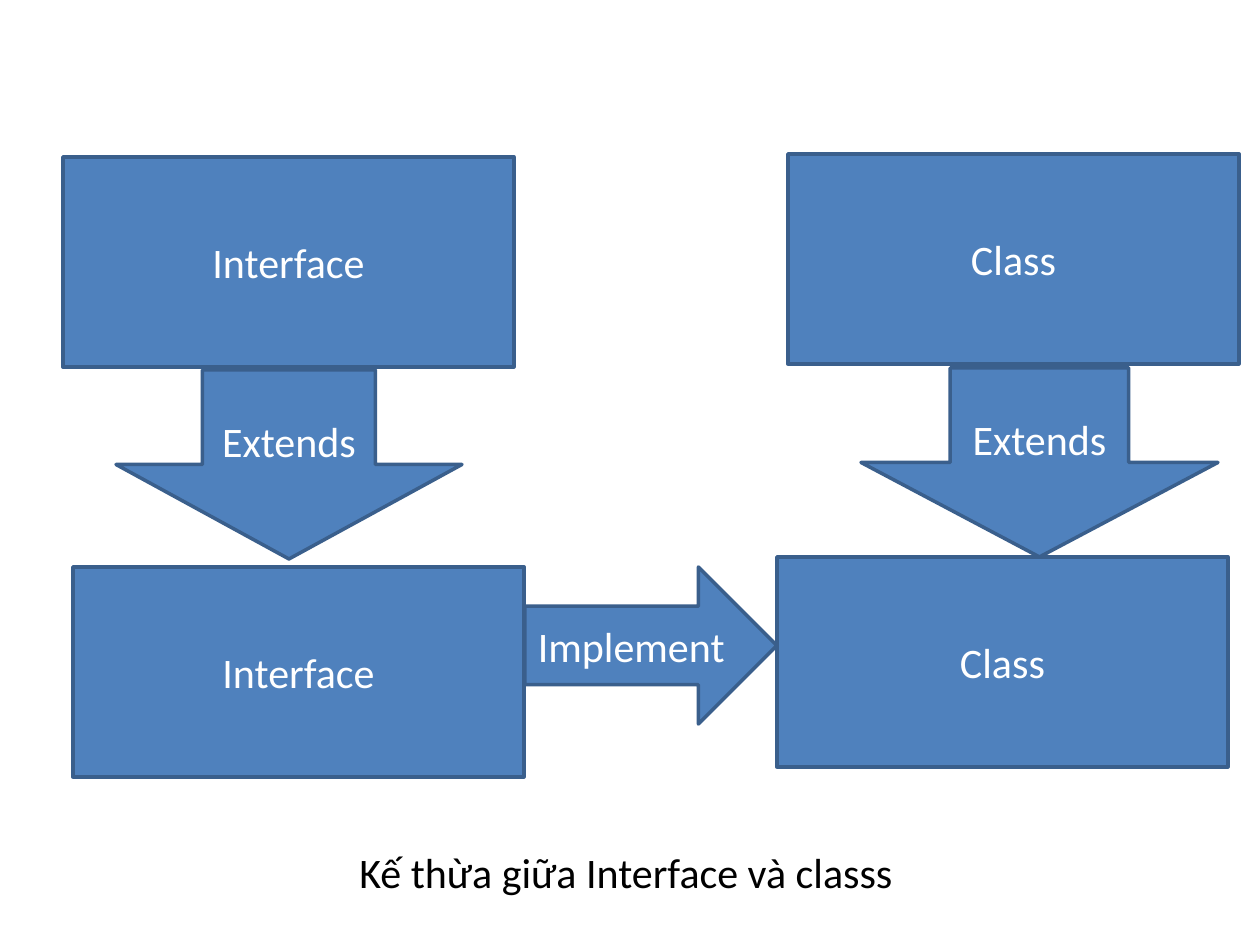
"""Build a slide on inheritance between interfaces and classes."""
import pptx
import pptx.util
import pptx.dml.color
import pptx.enum.shapes
import pptx.enum.text

SCALE = 914400 // 126
COLORS = {"fill": "4F81BD", "line": "3A5F8C", "light": "FFFFFF", "dark": "000000"}
KIND = pptx.enum.shapes.MSO_SHAPE
ALIGN = pptx.enum.text.PP_ALIGN


def color(name):
    return pptx.dml.color.RGBColor.from_string(COLORS[name])


def write(shape, text, ink, align):
    frame = shape.text_frame
    frame.text = text
    line = frame.paragraphs[0]
    line.alignment = align
    font = line.runs[0].font
    font.name = "Calibri"
    font.size = pptx.util.Pt(24)
    font.color.rgb = color(ink)


deck = pptx.Presentation()
deck.slide_width = pptx.util.Inches(10)
deck.slide_height = pptx.util.Inches(7.5)
slide = deck.slides.add_slide(deck.slide_layouts[6])

box = (451, 210)
nodes = [
    (KIND.RECTANGLE, "Interface", 63, 157, *box),
    (KIND.RECTANGLE, "Interface", 73, 567, *box),
    (KIND.RECTANGLE, "Class", 788, 154, *box),
    (KIND.RECTANGLE, "Class", 777, 557, *box),
    (KIND.DOWN_ARROW, "Extends", 861, 368, 357, 189),
    (KIND.DOWN_ARROW, "Extends", 116, 370, 346, 189),
    (KIND.RIGHT_ARROW, "Implement", 525, 567, 252, 157),
]
for kind, text, *area in nodes:
    node = slide.shapes.add_shape(kind, *[n * SCALE for n in area])
    node.shadow.inherit = False
    node.fill.solid()
    node.fill.fore_color.rgb = color("fill")
    node.line.color.rgb = color("line")
    node.line.width = pptx.util.Pt(2)
    node.text_frame.vertical_anchor = pptx.enum.text.MSO_ANCHOR.MIDDLE
    write(node, text, "light", ALIGN.CENTER)

note = slide.shapes.add_textbox(*[n * SCALE for n in (347, 840, 563, 63)])
note.text_frame.word_wrap = False
note.text_frame.auto_size = pptx.enum.text.MSO_AUTO_SIZE.SHAPE_TO_FIT_TEXT
write(note, "Kế thừa giữa Interface và classs", "dark", ALIGN.LEFT)

deck.save("out.pptx")
